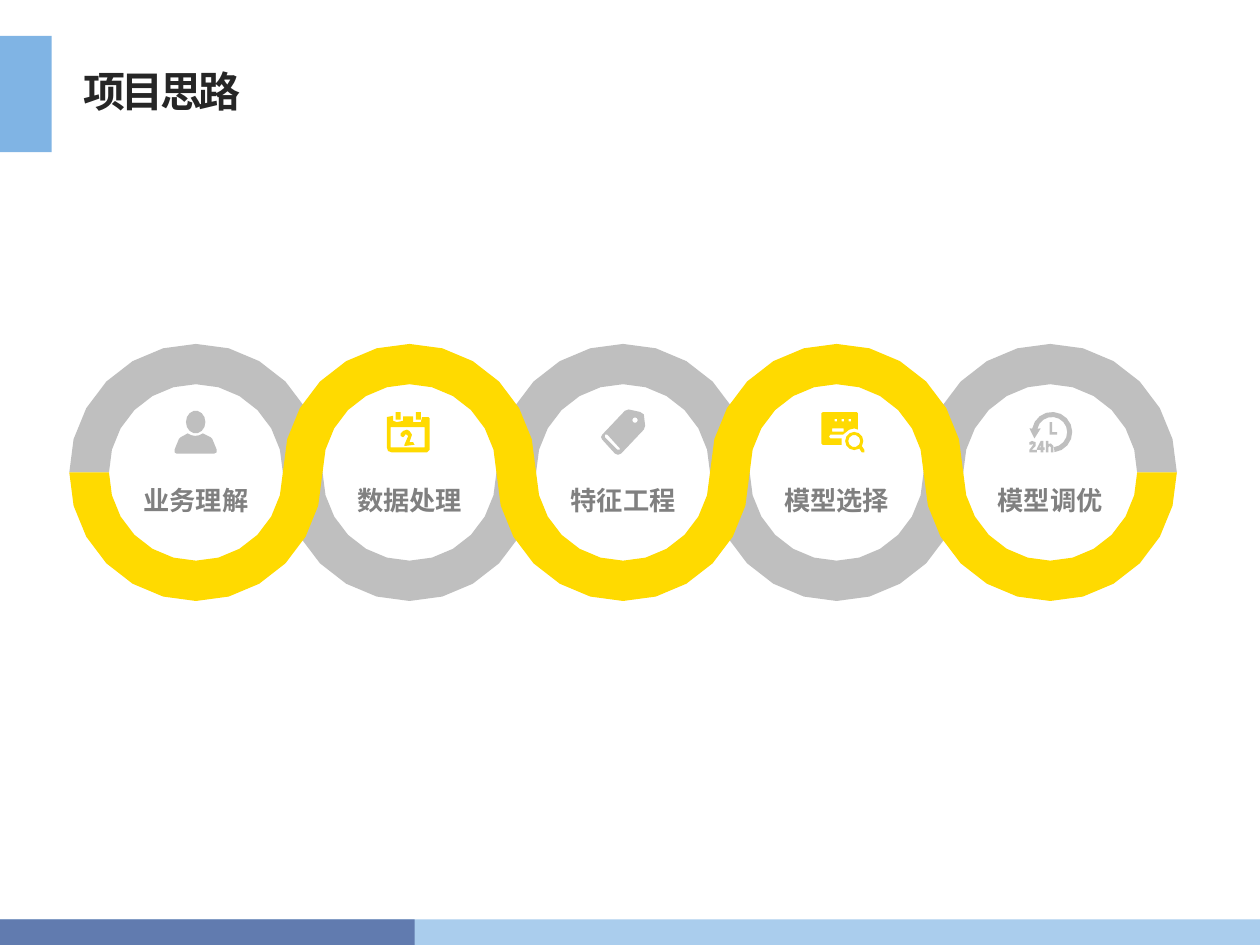
from dataclasses import dataclass
from math import cos, radians, sin
from typing import List, Tuple

from pptx import Presentation
from pptx.dml.color import RGBColor
from pptx.enum.shapes import MSO_SHAPE as Preset
from pptx.enum.text import MSO_ANCHOR as Anchor, PP_ALIGN as Align
from pptx.util import Inches, Pt

Point = Tuple[float, float]
Contour = List[Point]

WIDTH, HEIGHT = 10, 7.5
GREY, YELLOW = "BFBFBF", "FFDA00"
UNIT = Inches(0.01)  # outlines are given in hundredths of an inch

# Chain of rings: outer and inner radii add up to one step between centres
STEP, FIRST_X, CENTRE_Y = 169.5, 155.5, 375
OUTER, INNER = (100.5, 102), (69, 70)


@dataclass
class Band:
    """A plain rectangle, as shares of the slide's size."""
    left: float
    top: float
    width: float
    height: float
    colour: str


@dataclass
class Stage:
    """One ring of the chain: its label and its icon."""
    label: str
    colour: str
    icon_left: float
    icon_top: float
    icon: List[Contour]


def paint(shape, colour: str) -> None:
    """Give a shape a flat fill with no line or shadow."""
    shape.shadow.inherit = False
    shape.fill.solid()
    shape.fill.fore_color.rgb = RGBColor.from_string(colour)
    shape.line.fill.background()


def arc(cx: float, cy: float, radii: Point, start: float, end: float,
        count: int = 12) -> Contour:
    """Points of an elliptical arc; degrees run clockwise from the right."""
    angles = [radians(start + (end - start) * i / count) for i in range(count + 1)]
    return [(cx + radii[0] * cos(a), cy + radii[1] * sin(a)) for a in angles]


def oval(cx: float, cy: float, rx: float, ry: float, count: int = 10) -> Contour:
    """A whole ellipse."""
    return arc(cx, cy, (rx, ry), 0, 360, count)[:-1]


def box(left: float, top: float, right: float, bottom: float) -> Contour:
    """A rectangle by its edges."""
    return [(left, top), (right, top), (right, bottom), (left, bottom)]


def add_outline(slide, contours: List[Contour], colour: str,
                left: float = 0, top: float = 0) -> None:
    """Draw closed contours as one freeform; inner contours become holes."""
    placed = [[(round((left + x) * UNIT), round((top + y) * UNIT)) for x, y in contour]
              for contour in contours]
    builder = slide.shapes.build_freeform(*placed[0][0], scale=1.0)
    for index, contour in enumerate(placed):
        if index:
            builder.move_to(*contour[0])
        builder.add_line_segments(contour[1:], close=True)
    paint(builder.convert_to_shape(), colour)


def ribbon(count: int, side: int) -> Contour:
    """A band weaving over and under the rings; side 0 starts above, 1 below."""
    forth, back = [], []
    for i in range(count):
        above = (i + side) % 2 == 0
        end = 360 if above else 0
        near, far = (OUTER, INNER) if i % 2 == 0 else (INNER, OUTER)
        forth += arc(FIRST_X + i * STEP, CENTRE_Y, near, 180, end)
        back += arc(FIRST_X + i * STEP, CENTRE_Y, far, 180, end)
    return forth + back[::-1]


def add_text(slide, text: str, left: float, top: float, width: float, height: float, *,
             size: float, colour: str, align=Align.LEFT, spacing: float = 0,
             inset_left: float = 0.07, inset_right: float = 0.07) -> None:
    """Add one bold line of text, centred vertically; lengths in inches."""
    frame = slide.shapes.add_textbox(*map(Inches, (left, top, width, height))).text_frame
    frame.word_wrap = True
    frame.vertical_anchor = Anchor.MIDDLE
    frame.margin_left, frame.margin_right = Inches(inset_left), Inches(inset_right)
    frame.margin_top = frame.margin_bottom = Inches(0.04)
    paragraph = frame.paragraphs[0]
    paragraph.alignment = align
    run = paragraph.add_run()
    run.text = text
    run.font.name, run.font.size, run.font.bold = "Arial", Pt(size), True
    run.font.color.rgb = RGBColor.from_string(colour)
    if spacing:
        run.font._element.set("spc", str(round(spacing * 100)))


PERSON = [
    oval(17.3, 9, 7.7, 9, 14),
    [(11, 18), (14, 19.5), (17, 20), (20, 19.5), (23, 18), (29, 21), (30.5, 22.5),
     (34, 31), (34, 33), (32, 34), (2, 34), (0.5, 33), (0.5, 31), (4, 22.5), (5.5, 21)],
]
CALENDAR = [
    [(0, 5), (5, 4), (5, 8), (8, 9), (13, 8), (13, 4.5), (21, 4.5), (21, 9), (27, 9),
     (28, 5), (33, 5), (34, 6), (34, 31), (32, 33), (4, 33), (1, 32), (0, 29)],
    box(3, 13, 30, 29), box(7, 1, 11, 7), box(23, 1, 27, 7),
    [(11, 18), (13, 16), (16, 15), (18, 16), (20, 19), (18, 25), (21, 25), (22, 27),
     (14, 28), (14, 27), (17, 20), (15, 18.5), (14, 20), (13, 21), (11, 20)],
]
TAG = [
    [(36, 13), (35, 4), (32, 2), (23, 0), (20, 1), (2, 20), (1, 22), (2, 24),
     (12, 35), (14.5, 36), (17, 35), (35, 16)],
    [(16, 32), (14, 32), (4, 22), (4, 20), (6, 20), (16, 31)],
    oval(28, 8.5, 2.2, 2.2, 8),
]
SEARCH = [
    [(1, 0), (28, 0), (29, 1), (29, 14), (26, 13), (22, 14), (17, 18), (7, 18),
     (6, 19.5), (7, 21), (16, 21), (16, 26), (1, 26), (0, 25), (0, 1)],
    box(8.5, 13, 17.5, 15.5),
    *[box(x - 1, 5.5, x + 1, 7.5) for x in (11.5, 17, 22.5)],
    oval(26, 23, 7.2, 7.2, 12), oval(26, 23, 4.8, 4.8),
    [(32, 27), (34, 30), (34, 32), (32, 32), (30, 29)],
]
CLOCK = [
    arc(18, 16, (16, 16), -170, 83) + arc(18, 16, (12, 12), 83, -167)
    + [(9, 13), (4, 21), (0, 13)],
    [(16, 8), (18, 8), (18, 16), (22, 16), (22, 18), (16, 18)],
    [(0, 26), (0, 24), (2, 23), (5, 24), (5, 27), (2, 30), (6, 30), (6, 32),
     (0, 32), (0, 30), (3, 26), (2.5, 25), (2, 26)],
    [(9, 23), (11, 23), (11, 28), (12, 28), (12, 30), (11, 30), (11, 32), (9, 32),
     (9, 30), (6, 30), (6, 29)],
    [(9, 26), (9, 28), (8, 28)],
    [(13, 23), (15, 23), (15, 25.5), (17, 25), (19, 27), (19, 32), (17, 32), (17, 28),
     (16, 27), (15, 28), (15, 32), (13, 32)],
]

BANDS = [
    Band(0, 0.973, 1, 0.027, "AACDED"),
    Band(0, 0.038, 0.041, 0.123, "80B4E4"),
    Band(0, 0.973, 0.329, 0.027, "617BAF"),
]
STAGES = [
    Stage("业务理解", GREY, 138, 326, PERSON),
    Stage("数据处理", YELLOW, 307, 326, CALENDAR),
    Stage("特征工程", GREY, 476, 325, TAG),
    Stage("模型选择", YELLOW, 652, 327, SEARCH),
    Stage("模型调优", GREY, 817, 327, CLOCK),
]


def main() -> None:
    """Build the slide and save it."""
    deck = Presentation()
    deck.slide_width, deck.slide_height = Inches(WIDTH), Inches(HEIGHT)
    slide = deck.slides.add_slide(deck.slide_layouts[6])

    for band in BANDS:
        paint(slide.shapes.add_shape(
            Preset.RECTANGLE, Inches(band.left * WIDTH), Inches(band.top * HEIGHT),
            Inches(band.width * WIDTH), Inches(band.height * HEIGHT)), band.colour)
    add_text(slide, "项目思路", 0.55, 0.48, 8.9, 0.48, size=24, colour="262626",
             spacing=-2, inset_left=0.11, inset_right=0.08)

    for side, colour in enumerate((GREY, YELLOW)):
        add_outline(slide, [ribbon(len(STAGES), side)], colour)
    for i, stage in enumerate(STAGES):
        add_text(slide, stage.label, 0.93 + i * STEP / 100, 3.76, 1.25, 0.42,
                 size=15, colour="808080", align=Align.CENTER)
        add_outline(slide, stage.icon, stage.colour, stage.icon_left, stage.icon_top)

    deck.save("out.pptx")


main()
